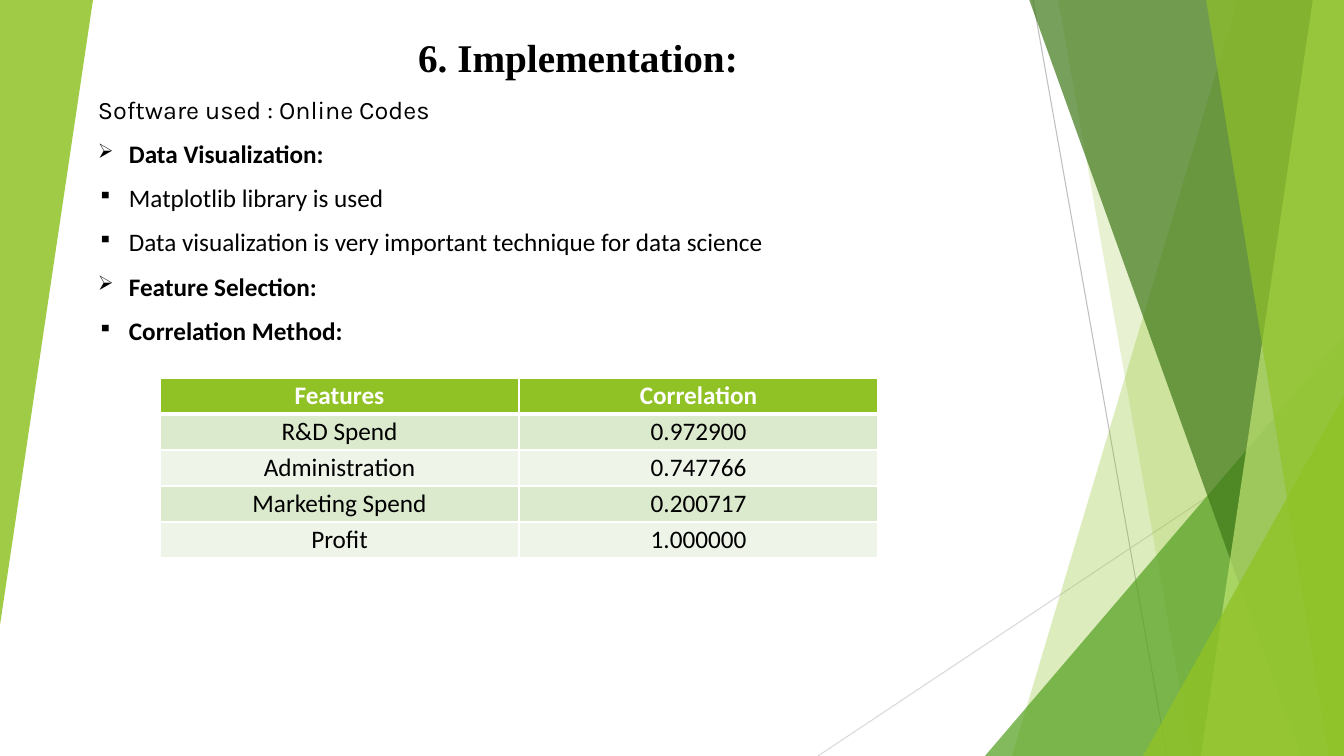
from itertools import product

from lxml.etree import SubElement
from pptx import Presentation
from pptx.dml.color import RGBColor
from pptx.enum.shapes import MSO_CONNECTOR, MSO_SHAPE
from pptx.enum.text import PP_ALIGN
from pptx.oxml import parse_xml
from pptx.oxml.ns import nsdecls, qn
from pptx.util import Pt

WIDTH, HEIGHT = 1344, 756
SCALE = 914400 / 100.8
COLORS = {
    "black": "000000", "white": "FFFFFF", "line": "BFBFBF", "pale_line": "D9D9D9",
    "lime": "90C226", "green": "54A021", "forest": "3F7819", "light_lime": "C0E474",
    "band": "DBE9CD", "pale_band": "EEF4E8",
}


def emu(pixels):
    return round(pixels * SCALE)


def color(name):
    return RGBColor.from_string(COLORS[name])


def apply(target, values):
    for name, value in values.items():
        setattr(target, name, value)


class SlideBuilder:
    """Holds the text style and the slide being filled."""
    style = {"name": "Calibri", "size": Pt(18), "bold": False}

    def __init__(self, page):
        self.page = page

    def line(self, start, end, tint):
        line = self.page.shapes.add_connector(
            MSO_CONNECTOR.STRAIGHT, *map(emu, start + end))
        line.line.color.rgb = color(tint)
        line.line.width = Pt(0.75)
        SubElement(line._element.spPr, qn("a:effectLst"))

    def paint(self, shape, tint, opacity):
        shape.shadow.inherit = False
        shape.fill.solid()
        shape.fill.fore_color.rgb = color(tint)
        shape.line.fill.background()
        fill = shape._element.spPr.find(".//" + qn("a:srgbClr"))
        SubElement(fill, qn("a:alpha"), val=str(opacity * 1000))

    def strip(self, top_left, bottom_left, tint, opacity):
        """A band from a slanted left edge to the right edge of the slide."""
        outline = self.page.shapes.build_freeform(top_left, -1, scale=SCALE)
        outline.add_line_segments(
            [(WIDTH, -1), (WIDTH, HEIGHT), (bottom_left, HEIGHT)], close=True)
        self.paint(outline.convert_to_shape(), tint, opacity)

    def triangle(self, bounds, tint, opacity, rotation=0):
        shape = self.page.shapes.add_shape(
            MSO_SHAPE.ISOSCELES_TRIANGLE, *map(emu, bounds))
        shape.adjustments[0] = 1
        shape.rotation = rotation
        self.paint(shape, tint, opacity)

    def fill_para(self, para, text, tint="black", spacing=None, **changes):
        apply(para, spacing or {})
        span = para.add_run()
        span.text = text
        apply(span.font, {**self.style, **changes})
        span.font.color.rgb = color(tint)

    def bullet(self, para, sign):
        indent = emu(31)
        properties = para._p.get_or_add_pPr()
        properties.set("marL", str(indent))
        properties.set("indent", str(-indent))
        tint = SubElement(properties, qn("a:buClr"))
        SubElement(tint, qn("a:srgbClr"), val=COLORS["black"])
        SubElement(properties, qn("a:buSzPct"), val="80000")
        SubElement(properties, qn("a:buChar"), char=sign)

    def text(self, bounds, rows, spacing):
        """Each row is its text, its bullet sign or None, and font changes."""
        box = self.page.shapes.add_textbox(*map(emu, bounds))
        frame = box.text_frame
        frame.word_wrap = True
        for number, (text, sign, changes) in enumerate(rows):
            para = frame.add_paragraph() if number else frame.paragraphs[0]
            self.fill_para(para, text, spacing=spacing, **changes)
            if sign:
                self.bullet(para, sign)

    def borders(self, cell, widths):
        properties = cell._tc.get_or_add_tcPr()
        for place, (side, width) in enumerate(widths.items()):
            properties.insert(place, parse_xml(
                f'<a:ln{side} {nsdecls("a")} w="{Pt(width)}"><a:solidFill>'
                f'<a:srgbClr val="{COLORS["white"]}"/></a:solidFill></a:ln{side}>'))

    def table(self, bounds, rows):
        columns = len(rows[0])
        table = self.page.shapes.add_table(
            len(rows), columns, *map(emu, bounds)).table
        apply(table, {"first_row": False, "horz_banding": False})
        margins = {"margin_left": emu(7), "margin_right": emu(7),
                   "margin_top": 0, "margin_bottom": 0}
        spacing = {"alignment": PP_ALIGN.CENTER, "line_spacing": 1.07,
                   "space_after": Pt(8)}
        for row, column in product(range(len(rows)), range(columns)):
            cell = table.cell(row, column)
            header = row == 0
            apply(cell, margins)
            cell.fill.solid()
            band = "band" if row % 2 else "pale_band"
            cell.fill.fore_color.rgb = color("lime" if header else band)
            self.borders(cell, {"L": 1, "R": 1, "T": 3 if row == 1 else 1,
                                "B": 3 if header else 1})
            self.fill_para(cell.text_frame.paragraphs[0], rows[row][column],
                           "white" if header else "black", spacing, bold=header)


deck = Presentation()
apply(deck, {"slide_width": emu(WIDTH), "slide_height": emu(HEIGHT)})
slide = SlideBuilder(deck.slides.add_slide(deck.slide_layouts[6]))

# Background facets
slide.line((1033, 0), (1167, HEIGHT), "line")
slide.line((WIDTH, 406), (818, HEIGHT), "pale_line")
slide.strip(1238, 1012, "lime", 30)
slide.strip(1058, 1192, "lime", 20)
slide.triangle((985, 336, 359, 420), "green", 72)
slide.strip(1029, 1301, "forest", 70)
slide.strip(1313, 1201, "light_lime", 70)
slide.strip(1206, 1329, "lime", 65)
slide.triangle((1143, 396, 201, 360), "lime", 80)
slide.triangle((0, 0, 93, 625), "lime", 85, rotation=180)

# Title
slide.text((336, 28, 484, 55), [
    ("6. Implementation:", None,
     {"name": "Times New Roman", "size": Pt(28), "bold": True}),
], {"alignment": PP_ALIGN.CENTER})

# Steps
ARROW, SQUARE = "➢", "▪"
slide.text((88, 89, 934, 588), [
    ("Software used : Online Codes", None, {"name": "Karla"}),
    ("Data Visualization:", ARROW, {"bold": True}),
    ("Matplotlib library is used", SQUARE, {}),
    ("Data visualization is very important technique for data science", SQUARE, {}),
    ("Feature Selection:", ARROW, {"bold": True}),
    ("Correlation Method:", SQUARE, {"bold": True}),
], {"space_before": Pt(10)})

# Correlation table
slide.table((160, 378, 718, 180), [
    ("Features", "Correlation"),
    ("R&D Spend", "0.972900"),
    ("Administration", "0.747766"),
    ("Marketing Spend", "0.200717"),
    ("Profit", "1.000000"),
])

deck.save("out.pptx")
